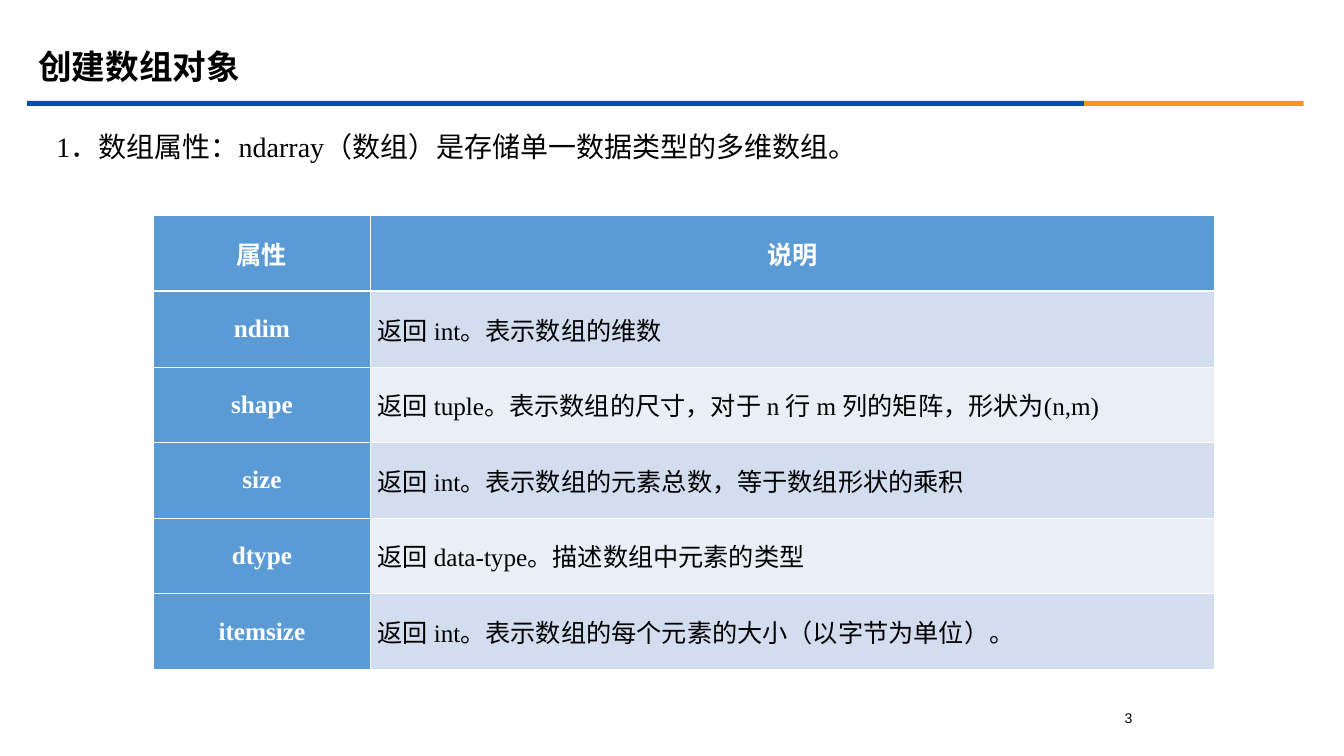
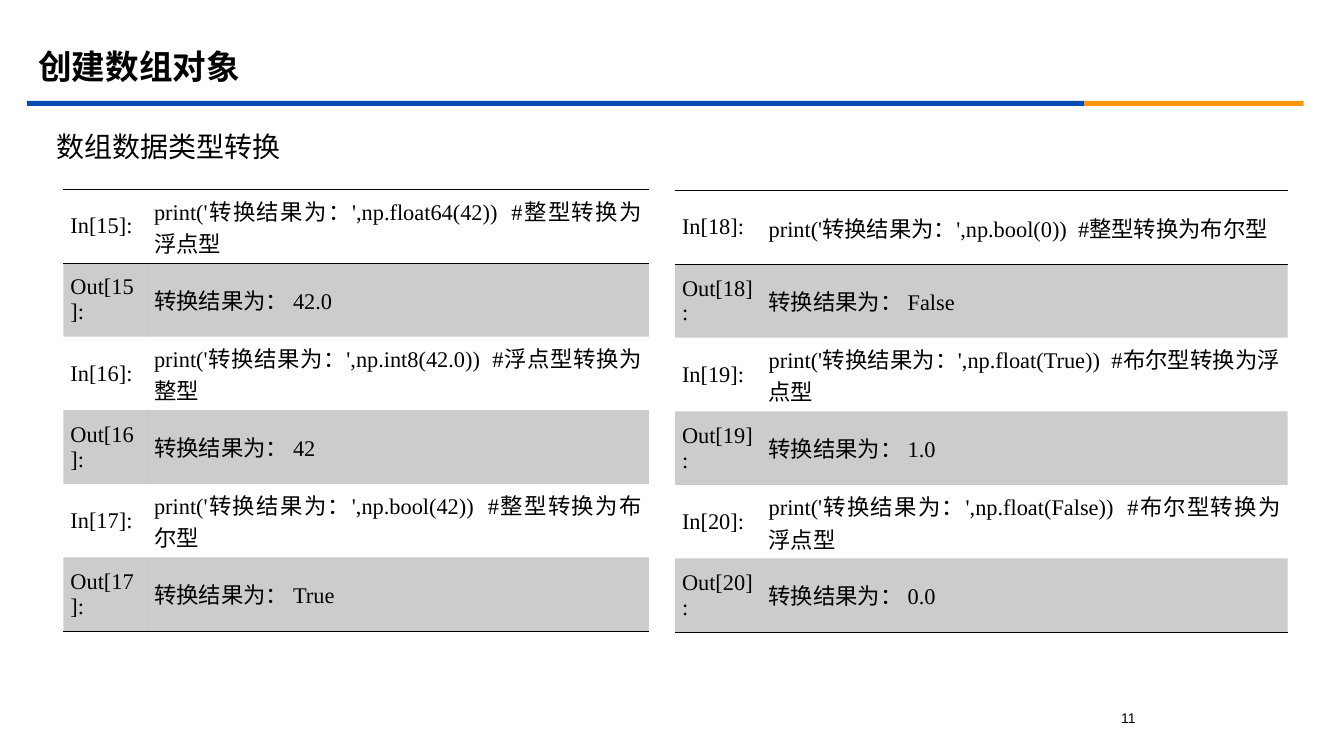
from lxml.etree import SubElement
from pptx import Presentation
from pptx.dml.color import RGBColor
from pptx.enum.shapes import MSO_SHAPE as Shape
from pptx.enum.text import MSO_ANCHOR as Anchor, MSO_AUTO_SIZE as AutoSize, PP_ALIGN as Align
from pptx.oxml.ns import qn
from pptx.util import Inches, Pt

TITLE = "创建数组对象"
ATTRIBUTE_SLIDE = {
    "page": "3",
    "title_font": "Times New Roman",
    "lead": "1．数组属性：ndarray（数组）是存储单一数据类型的多维数组。",
    "lead_font": "Times New Roman",
}
CONVERSION_SLIDE = {
    "page": "11",
    "title_font": "Montserrat",
    "lead": "数组数据类型转换",
    "lead_font": "Noto Sans CJK SC",
}
ATTRIBUTES = [
    ("属性", "说明"),
    ("ndim", "返回 int。表示数组的维数"),
    ("shape", "返回 tuple。表示数组的尺寸，对于 n 行 m 列的矩阵，形状为(n,m)"),
    ("size", "返回 int。表示数组的元素总数，等于数组形状的乘积"),
    ("dtype", "返回 data-type。描述数组中元素的类型"),
    ("itemsize", "返回 int。表示数组的每个元素的大小（以字节为单位）。"),
]
CONVERSIONS = [
    (15, "print('转换结果为：',np.float64(42))  #整型转换为浮点型", "42.0"),
    (16, "print('转换结果为：',np.int8(42.0))  #浮点型转换为整型", "42"),
    (17, "print('转换结果为：',np.bool(42))  #整型转换为布尔型", "True"),
    (18, "print('转换结果为：',np.bool(0))  #整型转换为布尔型", "False"),
    (19, "print('转换结果为：',np.float(True))  #布尔型转换为浮点型", "1.0"),
    (20, "print('转换结果为：',np.float(False))  #布尔型转换为浮点型", "0.0"),
]
CONVERSION_TABLES = [
    (CONVERSIONS[:3], 0.63, 1.88, (0.83, 4.98)),
    (CONVERSIONS[3:], 6.7, 1.89, (0.86, 5.22)),
]
BANDS = [(0.27, 10.49, "blue"), (10.76, 2.18, "orange")]
COLORS = {
    "black": "000000",
    "white": "FFFFFF",
    "blue": "064BB2",
    "orange": "FB9708",
    "header": "5B9BD5",
    "odd": "D2DEEF",
    "even": "EAEFF7",
}
EAST_ASIAN_FONT = "Noto Sans CJK SC"
NO_TABLE_STYLE = "{2D5ABB26-0587-4C30-8999-92F81FD0307C}"
THIN, THICK = 0.45, 1.47


def color(name):
    return RGBColor.from_string(COLORS[name])


def place(shape, left, top, width, height):
    shape.left, shape.top = Inches(left), Inches(top)
    shape.width, shape.height = Inches(width), Inches(height)


def write(frame, text, size, font="Times New Roman", ink="black", bold=False,
          align=Align.LEFT, spacing=1.0):
    paragraph = frame.paragraphs[0]
    paragraph.alignment = align
    paragraph.line_spacing = spacing
    paragraph.space_before = Pt(0)
    run = paragraph.add_run()
    run.text = text
    run.font.size, run.font.bold, run.font.name = Pt(size), bold, font
    run.font.color.rgb = color(ink)
    east_asian = SubElement(run.font._element, qn("a:ea"))
    east_asian.set("typeface", EAST_ASIAN_FONT)
    return paragraph


def set_borders(cell, borders):
    properties = cell._tc.get_or_add_tcPr()
    for side in "LRTB":
        line = SubElement(properties, qn(f"a:ln{side}"))
        if side in borders:
            ink, width = borders[side]
            line.set("w", str(Pt(width)))
            fill = SubElement(line, qn("a:solidFill"))
            SubElement(fill, qn("a:srgbClr")).set("val", COLORS[ink])
        else:
            line.set("w", "0")
            SubElement(line, qn("a:noFill"))


def set_fill(cell, name, opacity=100):
    if name is None:
        cell.fill.background()
        return
    cell.fill.solid()
    cell.fill.fore_color.rgb = color(name)
    if opacity < 100:
        swatch = cell._tc.tcPr.find(qn("a:solidFill")).find(qn("a:srgbClr"))
        SubElement(swatch, qn("a:alpha")).set("val", str(opacity * 1000))


def add_grid(slide, rows, left, top, widths, row_height, format_cell):
    frame = slide.shapes.add_table(
        len(rows), len(widths), Inches(left), Inches(top),
        Inches(sum(widths)), Inches(row_height * len(rows)))
    table = frame.table
    frame.element.find(".//" + qn("a:tableStyleId")).text = NO_TABLE_STYLE
    table.first_row = table.horz_banding = False
    for column, width in zip(table.columns, widths):
        column.width = Inches(width)
    for r, row in enumerate(rows):
        table.rows[r].height = Inches(row_height)
        for c, text in enumerate(row):
            cell = table.cell(r, c)
            cell.vertical_anchor = Anchor.MIDDLE
            cell.margin_left = cell.margin_right = Inches(0.07)
            format_cell(cell, text, r, c, r == len(rows) - 1)


def format_attribute(cell, text, r, c, last):
    borders = {side: ("white", THIN) for side in "LRTB"}
    if r < 2:
        borders["B" if r == 0 else "T"] = ("white", THICK)
    set_borders(cell, borders)
    if r == 0 or c == 0:
        set_fill(cell, "header")
        write(cell.text_frame, text, 18, ink="white", bold=True, align=Align.CENTER)
    else:
        set_fill(cell, "odd" if r % 2 else "even")
        write(cell.text_frame, text, 18)


def format_conversion(cell, text, r, c, last):
    sides = {0: "TB", 1: "T"}.get(r, "B" if last else "")
    set_borders(cell, {side: ("black", THIN) for side in sides})
    set_fill(cell, "black" if r % 2 else None, opacity=20)
    write(cell.text_frame, text, 16, align=Align.JUSTIFY)


def conversion_rows(conversions):
    rows = []
    for number, code, result in conversions:
        rows += [(f"In[{number}]:", code), (f"Out[{number}]:", f"转换结果为： {result}")]
    return rows


def add_bands(slide, layout):
    for left, width, name in BANDS:
        band = slide.shapes.add_shape(
            Shape.RECTANGLE, Inches(left), Inches(1), Inches(width), Inches(0.05))
        band.shadow.inherit = False
        band.fill.solid()
        band.fill.fore_color.rgb = color(name)
        band.line.fill.background()
        layout.shapes.element.append(band.element)


def add_slide(presentation, layout, content):
    slide = presentation.slides.add_slide(layout)
    title, lead = slide.placeholders
    for shape in (title, lead):
        shape.text_frame.word_wrap = True
        shape.text_frame.auto_size = AutoSize.NONE
        shape.text_frame.vertical_anchor = Anchor.MIDDLE
    write(title.text_frame, TITLE, 24, font=content["title_font"], bold=True, spacing=0.9)
    paragraph = write(lead.text_frame, content["lead"], 20,
                      font=content["lead_font"], spacing=0.9)
    properties = paragraph._p.get_or_add_pPr()
    properties.set("marL", "0")
    properties.set("indent", "0")
    SubElement(properties, qn("a:buNone"))
    page = slide.shapes.add_textbox(
        Inches(10.89), Inches(6.99), Inches(0.62), Inches(0.25))
    page.text_frame.word_wrap = True
    write(page.text_frame, content["page"], 10, font="Arial", align=Align.CENTER)
    return slide


def main():
    presentation = Presentation()
    presentation.slide_width, presentation.slide_height = Inches(13.34), Inches(7.5)
    layout = presentation.slide_layouts[1]
    place(layout.placeholders[0], 0.28, 0.39, 12, 0.58)
    place(layout.placeholders[1], 0.46, 1.24, 12.15, 0.47)

    slide = add_slide(presentation, layout, ATTRIBUTE_SLIDE)
    add_bands(slide, layout)
    add_grid(slide, ATTRIBUTES, 1.52, 2.14, (2.16, 8.37), 0.75, format_attribute)

    slide = add_slide(presentation, layout, CONVERSION_SLIDE)
    for conversions, left, top, widths in CONVERSION_TABLES:
        add_grid(slide, conversion_rows(conversions), left, top, widths, 0.73,
                 format_conversion)
    presentation.save("out.pptx")


if __name__ == "__main__":
    main()
